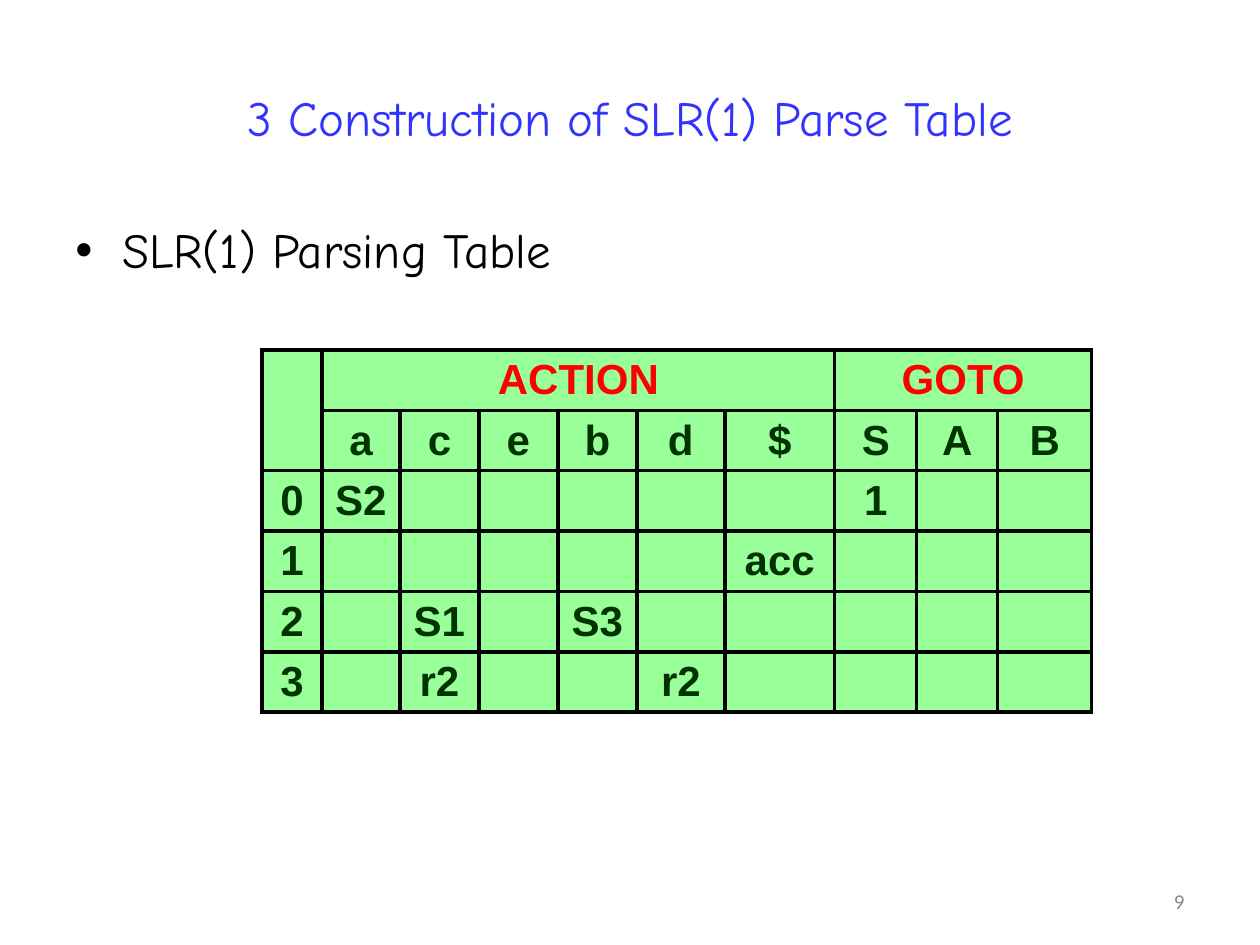
from itertools import accumulate

from lxml import etree
from pptx import Presentation
from pptx import util as u
from pptx.dml.color import RGBColor
from pptx.enum import text
from pptx.oxml import ns

PX = 914400 // 126
BLUE = RGBColor(0x33, 0x33, 0xFF)
BLACK = RGBColor(0, 0, 0)
GREY = RGBColor(0x89, 0x89, 0x89)
RED = RGBColor(0xFF, 0, 0)
DARK_GREEN = RGBColor(0, 0x33, 0)
LIGHT_GREEN = RGBColor(0x99, 0xFF, 0x99)

TITLE = "3 Construction of SLR(1) Parse Table"
BULLET = "SLR(1) Parsing Table"
PAGE_NUMBER = "9"

GROUPS = [("", 1, 2), ("ACTION", 6, 1), ("GOTO", 3, 1)]  # label, columns, rows
SYMBOLS = ["", "a", "c", "e", "b", "d", "$", "S", "A", "B"]
STATES = [  # entries of each parser state, by symbol
    {"a": "S2", "S": "1"},
    {"$": "acc"},
    {"c": "S1", "b": "S3"},
    {"c": "r2", "d": "r2"},
]
TABLE_LEFT, TABLE_TOP, TABLE_HEIGHT = 262, 350, 358
COLUMN_WIDTHS = [60, 78, 79, 79, 79, 88, 110, 82, 81, 94]


def px(length):
    return u.Emu(length * PX)


def add_run(para, words, font, size, color, bold=False):
    span = para.add_run()
    span.text = words
    span.font.name = font
    span.font.size = u.Pt(size)
    span.font.bold = bold
    span.font.color.rgb = color


def add_text(page, place, align, anchor):
    """Add a wrapping text box and return its first paragraph."""
    frame = page.shapes.add_textbox(*map(px, place)).text_frame
    frame.word_wrap = True
    frame.vertical_anchor = anchor
    para = frame.paragraphs[0]
    para.alignment = align
    return para


def add_bullet(para, indent):
    props = para._p.get_or_add_pPr()
    props.set("marL", str(px(indent)))
    props.set("indent", str(-px(indent)))
    etree.SubElement(props, ns.qn("a:buFont"), typeface="Arial")
    etree.SubElement(props, ns.qn("a:buChar"), char="•")


def add_borders(cell):
    props = cell._tc.get_or_add_tcPr()
    for index, side in enumerate(("lnL", "lnR", "lnT", "lnB")):
        line = etree.Element(ns.qn(f"a:{side}"), w=str(u.Pt(2.25)))
        fill = etree.SubElement(line, ns.qn("a:solidFill"))
        etree.SubElement(fill, ns.qn("a:srgbClr"), val=str(BLACK))
        props.insert(index, line)


def style_cell(cell, words, color):
    cell.fill.solid()
    cell.fill.fore_color.rgb = LIGHT_GREEN
    add_borders(cell)
    cell.margin_top = cell.margin_bottom = px(5)
    cell.margin_left = cell.margin_right = px(5)
    cell.vertical_anchor = text.MSO_ANCHOR.MIDDLE
    para = cell.text_frame.paragraphs[0]
    para.alignment = text.PP_ALIGN.CENTER
    if words:
        add_run(para, words, "Arial", 24, color, bold=True)


def add_parse_table(page):
    header = [label for name, columns, _ in GROUPS
              for label in [name] + [""] * (columns - 1)]
    rows = [header, SYMBOLS]
    for number, entries in enumerate(STATES):
        rows.append([str(number)] + [entries.get(s, "") for s in SYMBOLS[1:]])

    table_shape = page.shapes.add_table(
        len(rows), len(SYMBOLS), px(TABLE_LEFT), px(TABLE_TOP),
        px(sum(COLUMN_WIDTHS)), px(TABLE_HEIGHT))
    table = table_shape.table
    table.first_row = table.horz_banding = False
    for column, width in zip(table.columns, COLUMN_WIDTHS):
        column.width = px(width)
    for row in table.rows:
        row.height = px(TABLE_HEIGHT) // len(rows)
    for r, labels in enumerate(rows):
        for c, words in enumerate(labels):
            style_cell(table.cell(r, c), words, DARK_GREEN if r else RED)

    starts = accumulate((columns for _, columns, _ in GROUPS), initial=0)
    for start, (_, columns, depth) in zip(starts, GROUPS):
        table.cell(0, start).merge(table.cell(depth - 1, start + columns - 1))


def main():
    deck = Presentation()
    deck.slide_width, deck.slide_height = px(1260), px(945)
    page = deck.slides.add_slide(deck.slide_layouts[6])
    align, anchor = text.PP_ALIGN, text.MSO_ANCHOR

    title = add_text(page, (63, 38, 1134, 157), align.CENTER, anchor.MIDDLE)
    add_run(title, TITLE, "Comic Neue", 28, BLUE)

    body = add_text(page, (63, 220, 1134, 624), align.LEFT, anchor.TOP)
    add_bullet(body, 47)
    body.line_spacing = 0.9
    add_run(body, BULLET, "Comic Neue", 28, BLACK)

    add_parse_table(page)

    number = add_text(page, (903, 876, 294, 50), align.RIGHT, anchor.MIDDLE)
    add_run(number, PAGE_NUMBER, "Calibri", 12, GREY)
    deck.save("out.pptx")


if __name__ == "__main__":
    main()
